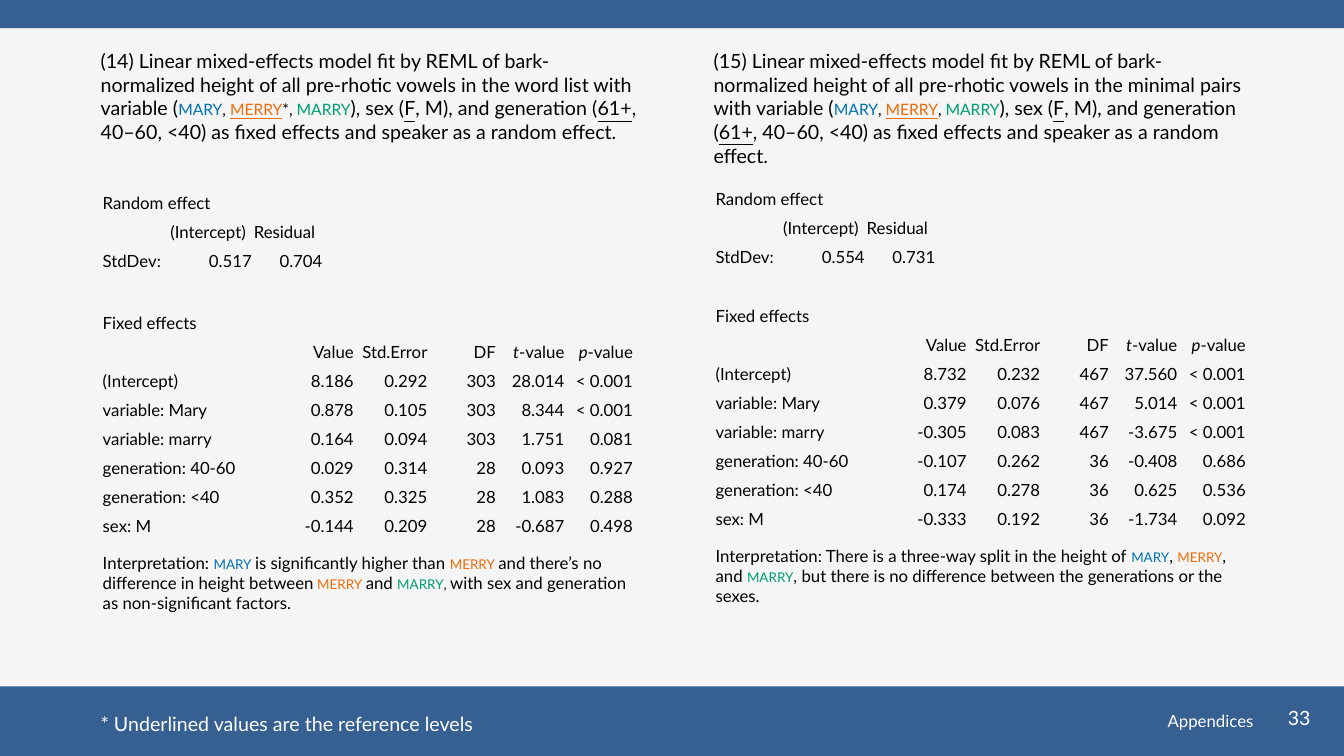
import dataclasses

import pptx
import pptx.dml.color
import pptx.enum.shapes
import pptx.enum.text
import pptx.util

ALIGN = pptx.enum.text.PP_ALIGN
ANCHOR = pptx.enum.text.MSO_ANCHOR


@dataclasses.dataclass(frozen=True)
class Theme:
    """Colours, typeface and type sizes of the slide."""
    font: str = "Lato"
    background: str = "F5F5F5"
    band: str = "376092"
    ink: str = "000000"
    light: str = "FFFFFF"
    mary: str = "0072B2"
    merry: str = "F06C0A"
    marry: str = "009E73"
    heading: int = 14
    body: int = 12


THEME = Theme()
NO_GRID_STYLE = "{2D5ABB26-0587-4C30-8999-92F81FD0307C}"
SLIDE_WIDTH = pptx.util.Inches(13.33)
SLIDE_HEIGHT = pptx.util.Inches(7.5)

ROW = 3.83
NOTE_ROW = 10.27
RANDOM_COLUMNS = [5.03, 6.22, 5.25]
FIXED_COLUMNS = [14.48, 4.35, 5.48, 5.1, 5.1, 5.1]

MARY = ("mary", {"color": THEME.mary, "small": True})
MERRY = ("merry", {"color": THEME.merry, "small": True})
MERRY_REFERENCE = ("merry", {"color": THEME.merry, "small": True, "underline": True})
MARRY = ("marry", {"color": THEME.marry, "small": True})
COMMA = (", ", {"small": True})
FACTORS = ["(Intercept)", "variable: Mary", "variable: marry",
           "generation: 40-60", "generation: <40", "sex: M"]
FIXED_HEADER = ["", "Value", "Std.Error", "DF",
                [("t", {"italic": True}), "-value"], [("p", {"italic": True}), "-value"]]

MODELS = [
    {
        "left": 6.75, "random_top": 18.53, "fixed_top": 34.4,
        "number": "(14)", "task": "word list", "after_merry": "*, ",
        "deviations": ["0.517", "0.704"],
        "effects": [
            ["8.186", "0.292", "303", "28.014", "< 0.001"],
            ["0.878", "0.105", "303", "8.344", "< 0.001"],
            ["0.164", "0.094", "303", "1.751", "0.081"],
            ["0.029", "0.314", "28", "0.093", "0.927"],
            ["0.352", "0.325", "28", "1.083", "0.288"],
            ["-0.144", "0.209", "28", "-0.687", "0.498"],
        ],
        "interpretation": [
            "Interpretation: ", MARY, (" ", {"small": True}), "is significantly higher than ",
            MERRY, (" ", {"small": True}), "and there’s no difference in height between",
            (" ", {"small": True}), MERRY, (" ", {"small": True}), "and ", MARRY, COMMA,
            "with sex and generation as non-significant factors."],
    },
    {
        "left": 52.35, "random_top": 18.0, "fixed_top": 33.46,
        "number": "(15)", "task": "minimal pairs", "after_merry": ", ",
        "deviations": ["0.554", "0.731"],
        "effects": [
            ["8.732", "0.232", "467", "37.560", "< 0.001"],
            ["0.379", "0.076", "467", "5.014", "< 0.001"],
            ["-0.305", "0.083", "467", "-3.675", "< 0.001"],
            ["-0.107", "0.262", "36", "-0.408", "0.686"],
            ["0.174", "0.278", "36", "0.625", "0.536"],
            ["-0.333", "0.192", "36", "-1.734", "0.092"],
        ],
        "interpretation": [
            "Interpretation: There is a three-way split in the height of ", MARY, ", ", MERRY,
            ", and ", MARRY,
            ", but there is no difference between the generations or the sexes."],
    },
]


def across(percent):
    """Turn a percentage of the slide's width into a length."""
    return round(SLIDE_WIDTH * percent / 100)


def down(percent):
    """Turn a percentage of the slide's height into a length."""
    return round(SLIDE_HEIGHT * percent / 100)


def place(box):
    """Turn a box of percentages into left, top, width and height."""
    left, top, width, height = box
    return across(left), down(top), across(width), down(height)


def write_text(frame, text, size=THEME.body, color=THEME.ink, align=ALIGN.LEFT,
               anchor=ANCHOR.TOP):
    """Write a string, or a list of strings and (string, format) pairs, in one paragraph."""
    frame.word_wrap = True
    frame.vertical_anchor = anchor
    paragraph = frame.paragraphs[0]
    paragraph.alignment = align
    for part in [text] if isinstance(text, str) else text:
        words, style = (part, {}) if isinstance(part, str) else part
        if not words:
            continue
        run = paragraph.add_run()
        run.text = words
        run.font.name = THEME.font
        run.font.size = pptx.util.Pt(size)
        run.font.color.rgb = pptx.dml.color.RGBColor.from_string(style.get("color", color))
        run.font.italic = style.get("italic", False)
        run.font.underline = style.get("underline", False)
        if style.get("small"):
            run.font._element.set("cap", "small")
    paragraph._p.get_or_add_endParaRPr().set("sz", str(size * 100))


def add_text(slide, box, text, **text_format):
    """Add a text box filling the given box."""
    write_text(slide.shapes.add_textbox(*place(box)).text_frame, text, **text_format)


def add_band(slide, box):
    """Add a plain coloured band."""
    band = slide.shapes.add_shape(pptx.enum.shapes.MSO_SHAPE.RECTANGLE, *place(box))
    band.shadow.inherit = False
    band.fill.solid()
    band.fill.fore_color.rgb = pptx.dml.color.RGBColor.from_string(THEME.band)
    band.line.fill.background()


def add_statistics(slide, left, top, columns, heights, rows, left_cells=()):
    """Add a borderless table; a row with a single entry spans all its columns."""
    box = (left, top, sum(columns), sum(heights))
    frame = slide.shapes.add_table(len(rows), len(columns), *place(box))
    table = frame.table
    table.first_row = table.horz_banding = False
    frame._element.xpath(".//a:tableStyleId")[0].text = NO_GRID_STYLE
    for column, width in zip(table.columns, columns):
        column.width = across(width)
    for row_index, (entries, height) in enumerate(zip(rows, heights)):
        table.rows[row_index].height = down(height)
        if len(entries) == 1:
            table.cell(row_index, 0).merge(table.cell(row_index, len(columns) - 1))
        for column_index, entry in enumerate(entries):
            cell = table.cell(row_index, column_index)
            cell.fill.background()
            cell.margin_left = cell.margin_right = cell.margin_top = pptx.util.Inches(0.01)
            cell.margin_bottom = 0
            is_left = column_index == 0 or row_index in left_cells
            write_text(cell.text_frame, entry, align=ALIGN.LEFT if is_left else ALIGN.RIGHT)
            cell.vertical_anchor = ANCHOR.BOTTOM


def add_model(slide, box, model):
    """Add one model: its description, random effect, fixed effects and interpretation."""
    left, top, width, height = box
    description = [
        f"{model['number']} Linear mixed-effects model fit by REML of bark-normalized height "
        f"of all pre-rhotic vowels in the {model['task']} with variable (",
        MARY, COMMA, MERRY_REFERENCE, (model["after_merry"], {"small": True}), MARRY,
        "), sex (", ("F", {"underline": True}), ", M), and generation (",
        ("61+", {"underline": True}),
        ", 40–60, <40) as fixed effects and speaker as a random effect."]
    add_text(slide, (left, top, width, 17.07), description, size=THEME.heading)
    table_left = left + 0.82
    random_rows = [["Random effect"], ["", "(Intercept)", "Residual"],
                   ["StdDev:", *model["deviations"]]]
    add_statistics(slide, table_left, top + model["random_top"], RANDOM_COLUMNS,
                   [ROW] * 3, random_rows, left_cells=(1,))
    effects = [[factor, *values] for factor, values in zip(FACTORS, model["effects"])]
    fixed_rows = [["Fixed effects"], FIXED_HEADER, *effects, [model["interpretation"]]]
    add_statistics(slide, table_left, top + model["fixed_top"], FIXED_COLUMNS,
                   [ROW] * 8 + [NOTE_ROW], fixed_rows)


def add_footer(slide, box):
    """Add the bottom band with footnote, section name and page number."""
    left, top, width, height = box
    add_band(slide, box)
    add_text(slide, (left + 6.75, top + 2.67, 30, 4.53),
             "* Underlined values are the reference levels",
             size=THEME.heading, color=THEME.light)
    add_text(slide, (left + 60.24, top + 1.87, 33.76, 5.33), "Appendices",
             color=THEME.light, align=ALIGN.RIGHT, anchor=ANCHOR.MIDDLE)
    add_text(slide, (left + 94, top + 1.87, 5.33, 5.33), "33",
             size=THEME.heading, color=THEME.light, align=ALIGN.CENTER)


def main():
    """Build the slide and save it."""
    presentation = pptx.Presentation()
    presentation.slide_width = SLIDE_WIDTH
    presentation.slide_height = SLIDE_HEIGHT
    slide = presentation.slides.add_slide(presentation.slide_layouts[6])
    slide.background.fill.solid()
    slide.background.fill.fore_color.rgb = pptx.dml.color.RGBColor.from_string(THEME.background)
    add_band(slide, (0, 0, 100, 3.73))
    add_footer(slide, (0, 90.8, 100, 9.2))
    for model in MODELS:
        add_model(slide, (model["left"], 5.87, 41.7, 75.5), model)
    presentation.save("out.pptx")


if __name__ == "__main__":
    main()
